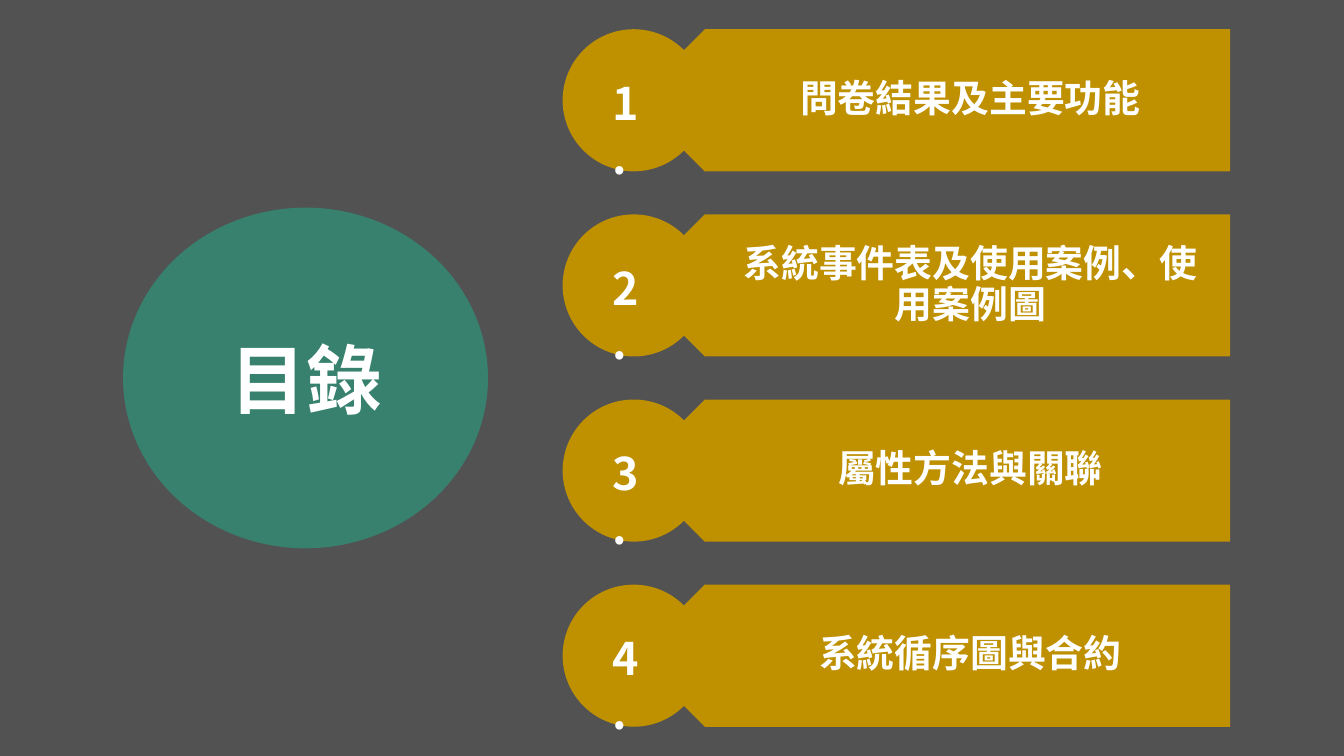
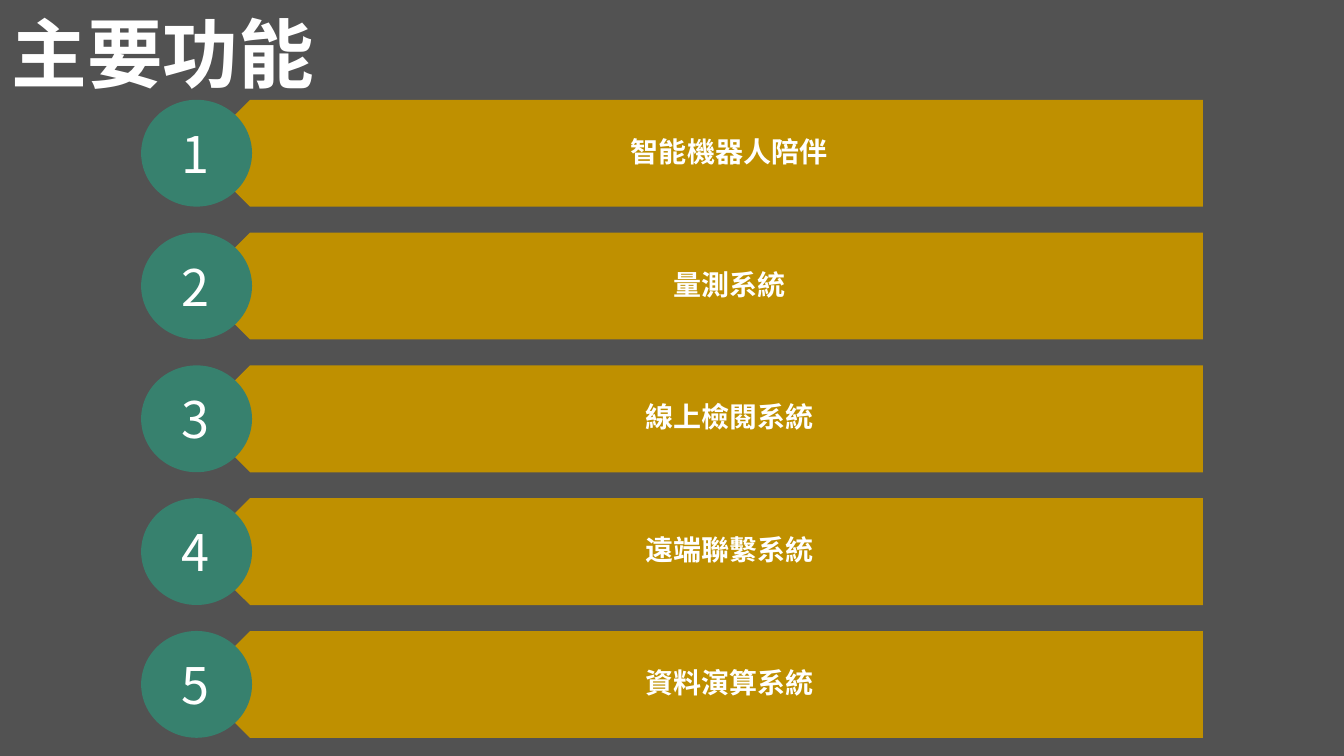
from lxml.etree import SubElement
from pptx import Presentation
from pptx.dml.color import RGBColor
from pptx.enum.shapes import MSO_SHAPE as Kind
from pptx.enum.text import MSO_ANCHOR as Anchor, MSO_AUTO_SIZE as Auto, PP_ALIGN as Align
from pptx.oxml.ns import qn
from pptx.util import Inches, Pt

GRAY, GOLD, TEAL, WHITE = "525252", "BF9000", "37816E", "FFFFFF"
SC, TC = "Noto Sans CJK SC", "Noto Sans CJK TC"
PADS = (0.1, 0.05, 0.1, 0.05)


def paint(fill, tone):
    fill.solid()
    fill.fore_color.rgb = RGBColor.from_string(tone)


def write(shape, text, size=20, font=SC, bold=True, align=Align.CENTER,
          anchor=Anchor.MIDDLE, pads=PADS, space=1.0, wrap=True):
    frame = shape.text_frame
    frame.word_wrap = wrap
    frame.auto_size = Auto.NONE
    frame.vertical_anchor = anchor
    (frame.margin_left, frame.margin_top,
     frame.margin_right, frame.margin_bottom) = map(Inches, pads)
    para = frame.paragraphs[0]
    para.alignment = align
    para.line_spacing = space
    run = para.add_run()
    run.text = text
    run.font.size = Pt(size)
    run.font.bold = bold
    paint(run.font.fill, WHITE)
    run.font.name = font
    SubElement(run.font._element, qn("a:ea"), typeface=font)


def label(slide, box, text, **style):
    write(slide.shapes.add_textbox(*map(Inches, box)), text, **style)


def form(slide, kind, box, tone):
    shape = slide.shapes.add_shape(kind, *map(Inches, box))
    shape.shadow.inherit = False
    paint(shape.fill, tone)
    shape.line.fill.background()
    return shape


def head(slide, box, text, font):
    title = slide.shapes.title
    title.left, title.top, title.width, title.height = map(Inches, box)
    write(title, text, size=54, font=font, wrap=False)
    slide.shapes._spTree.append(title._element)


def row(slide, box, disc, tone, text, mark, inset, style, spot, digit):
    left, top, width, high = box
    start = left + disc / 2
    plate = form(slide, Kind.PENTAGON, (start, top, width - disc / 2, high), GOLD)
    plate.rotation = 180
    label(slide, (start + high / 4, top, width - disc / 2 - high / 4, high), text,
          pads=inset, space=0.9, **style)
    form(slide, Kind.OVAL, (left, top, disc, high), tone)
    x, y, wide, tall = spot
    label(slide, (left + x, top + y, wide, tall), mark,
          align=Align.LEFT, anchor=Anchor.TOP, **digit)


def rows(slide, box, high, items, dot="", **look):
    left, top, width, total = box
    step = (total - high) / (len(items) - 1)
    for i, text in enumerate(items):
        row(slide, (left, top + i * step, width, high),
            text=text, mark=f"{i + 1}{dot}", **look)


def agenda(slide):
    form(slide, Kind.OVAL, (1.22, 2.06, 3.62, 3.38), TEAL)
    head(slide, (2.18, 3.25, 1.72, 1.01), "目錄", SC)
    rows(slide, (5.58, 0.29, 6.62, 6.92), 1.41,
         ["問卷結果及主要功能", "系統事件表及使用案例、使用案例圖",
          "屬性方法與關聯", "系統循序圖與合約"],
         dot=".", disc=1.41, tone=GOLD, inset=(0.62, 0.11, 0.21, 0.11),
         style={"size": 27}, spot=(0.4, 0.41, 0.52, 0.64), digit={"size": 32})


def features(slide):
    head(slide, (0, 0.01, 3.23, 1.01), "主要功能", TC)
    rows(slide, (1.4, 0.99, 10.53, 6.33), 1.06,
         ["智能機器人陪伴", "量測系統", "線上檢閱系統", "遠端聯繫系統", "資料演算系統"],
         disc=1.1, tone=TEAL, inset=(0.48, 0.08, 0.16, 0.08),
         style={"size": 20, "font": TC}, spot=(0.3, 0.18, 0.49, 0.71),
         digit={"size": 36, "font": TC, "bold": False})


def main():
    deck = Presentation()
    deck.slide_width, deck.slide_height = Inches(13.33), Inches(7.5)
    paint(deck.slide_master.background.fill, GRAY)
    for build in (agenda, features):
        build(deck.slides.add_slide(deck.slide_layouts[5]))
    deck.save("out.pptx")


if __name__ == "__main__":
    main()
